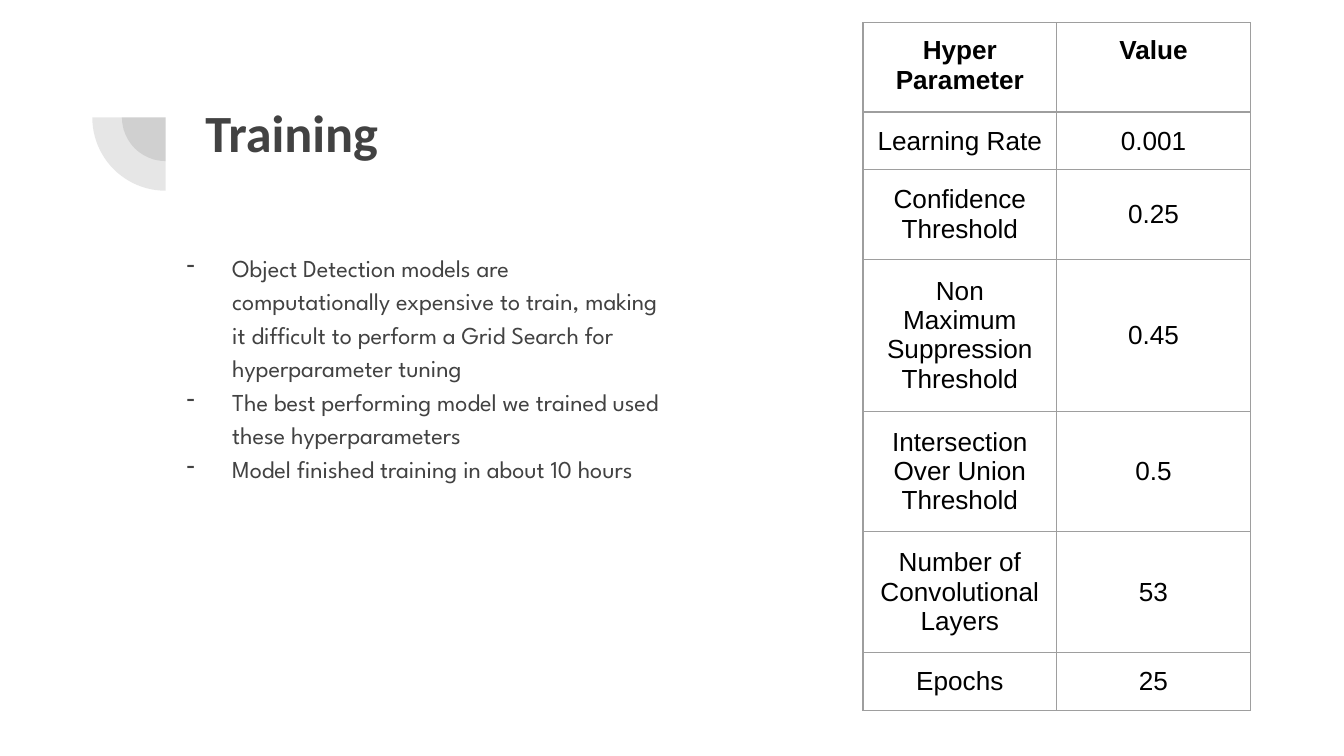
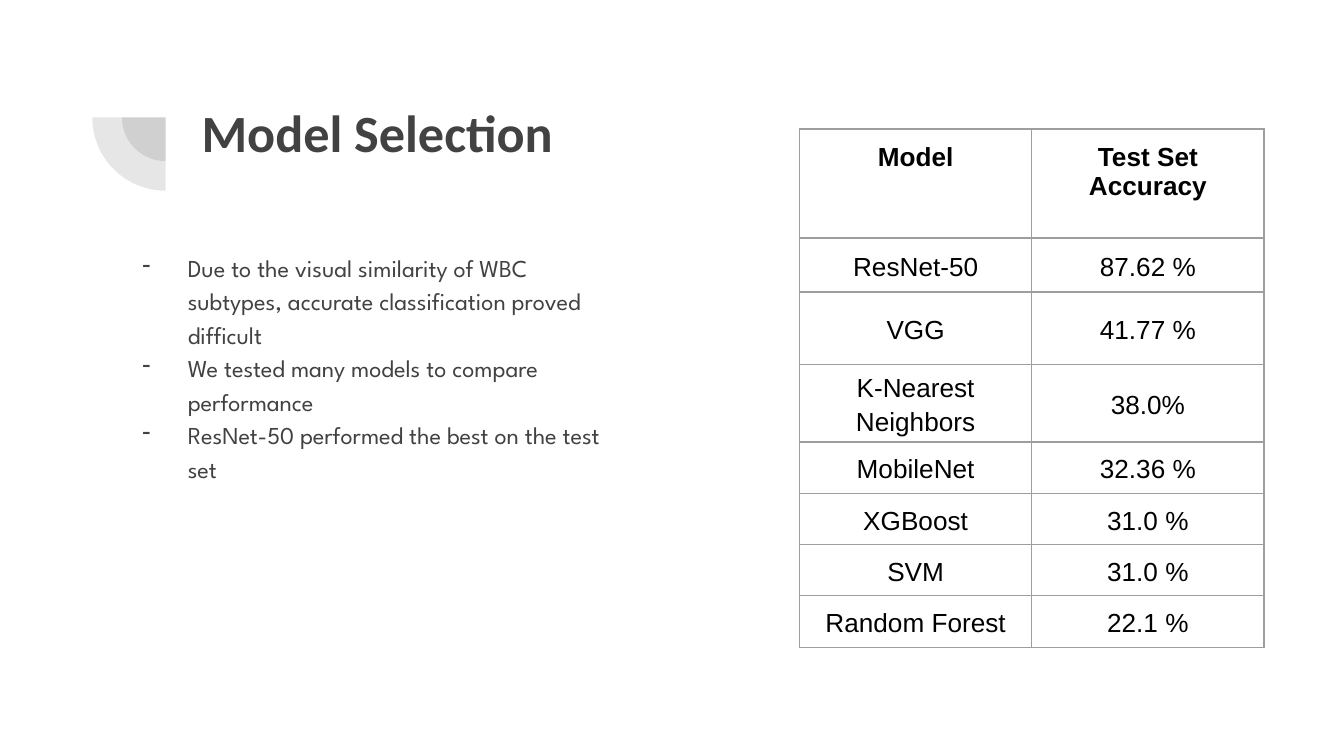
from dataclasses import dataclass

from lxml import etree
from pptx import Presentation
from pptx.dml.color import RGBColor
from pptx.enum.shapes import MSO_SHAPE
from pptx.enum.text import MSO_ANCHOR, PP_ALIGN
from pptx.oxml.ns import qn
from pptx.slide import Slide
from pptx.table import _Cell
from pptx.text.text import TextFrame, _Paragraph
from pptx.util import Cm, Length, Pt

PIE = MSO_SHAPE.PIE
TOP, MIDDLE = MSO_ANCHOR.TOP, MSO_ANCHOR.MIDDLE
LEFT, CENTER = PP_ALIGN.LEFT, PP_ALIGN.CENTER


@dataclass(frozen=True)
class TextStyle:
    font: str
    size: int
    color: str
    bold: bool = False


@dataclass(frozen=True)
class Theme:
    background: str = "FFFFFF"
    ink: str = "424242"
    border: str = "9E9E9E"
    border_width: Length = Pt(0.75)
    pie_alpha: int = 13000
    margin: Length = Cm(0.25)
    line_spacing: float = 1.15
    title: TextStyle = TextStyle("Calibri", 28, "424242", True)
    body: TextStyle = TextStyle("League Spartan", 13, "424242")
    header: TextStyle = TextStyle("Arial", 14, "000000", True)
    cell: TextStyle = TextStyle("Arial", 14, "000000")


@dataclass(frozen=True)
class Box:
    left: Length
    top: Length
    width: Length
    height: Length


@dataclass(frozen=True)
class TableSpec:
    left: Length
    top: Length
    column_width: Length
    row_heights: list[Length]
    rows: list[tuple[str, str]]
    margin_x: Length
    margin_y: Length
    line_spacing: float


@dataclass(frozen=True)
class SlideSpec:
    title: str
    title_left: Length
    bullets: list[str]
    body: Box
    table: TableSpec


THEME = Theme()

SLIDES = [
    SlideSpec(
        "Training",
        Cm(3.63),
        [
            "Object Detection models are computationally expensive to train, "
            "making it difficult to perform a Grid Search for hyperparameter tuning",
            "The best performing model we trained used these hyperparameters",
            "Model finished training in about 10 hours",
        ],
        Box(Cm(2.87), Cm(4.45), Cm(9.83), Cm(7.39)),
        TableSpec(
            Cm(16.31), Cm(0.43), Cm(3.66), [Cm(0.91)] * 7,
            [
                ("Hyper Parameter", "Value"),
                ("Learning Rate", "0.001"),
                ("Confidence Threshold", "0.25"),
                ("Non Maximum Suppression Threshold", "0.45"),
                ("Intersection Over Union Threshold", "0.5"),
                ("Number of Convolutional Layers", "53"),
                ("Epochs", "25"),
            ],
            THEME.margin, THEME.margin, 1.0,
        ),
    ),
    SlideSpec(
        "Model Selection",
        Cm(3.56),
        [
            "Due to the visual similarity of WBC subtypes, "
            "accurate classification proved difficult",
            "We tested many models to compare performance",
            "ResNet-50 performed the best on the test set",
        ],
        Box(Cm(2.03), Cm(4.45), Cm(9.88), Cm(8.33)),
        TableSpec(
            Cm(15.11), Cm(2.44), Cm(4.39),
            [Cm(2.06), Cm(1.02), Cm(1.37), Cm(1.02)] + [Cm(0.97)] * 4,
            [
                ("Model", "Test Set Accuracy"),
                ("ResNet-50", "87.62 %"),
                ("VGG", "41.77 %"),
                ("K-Nearest Neighbors", "38.0%"),
                ("MobileNet", "32.36 %"),
                ("XGBoost", "31.0 %"),
                ("SVM", "31.0 %"),
                ("Random Forest", "22.1 %"),
            ],
            Cm(0.08), Cm(0.05), THEME.line_spacing,
        ),
    ),
]


def format_runs(p: _Paragraph, style: TextStyle) -> None:
    for r in p.runs:
        r.font.name = style.font
        r.font.size = Pt(style.size)
        r.font.bold = style.bold
        r.font.color.rgb = RGBColor.from_string(style.color)


def add_text(s: Slide, box: Box, lines: list[str], style: TextStyle) -> TextFrame:
    tf = s.shapes.add_textbox(box.left, box.top, box.width, box.height).text_frame
    tf.word_wrap = True
    tf.vertical_anchor = TOP
    tf.margin_left = tf.margin_right = THEME.margin
    tf.margin_top = tf.margin_bottom = THEME.margin
    tf.text = "\n".join(lines)
    for p in tf.paragraphs:
        p.alignment = LEFT
        format_runs(p, style)
    return tf


def add_dash(p: _Paragraph) -> None:
    pPr = p._p.get_or_add_pPr()
    pPr.set("marL", str(Cm(1.27)))
    pPr.set("indent", str(-Cm(0.86)))
    color = etree.SubElement(pPr, qn("a:buClr"))
    etree.SubElement(color, qn("a:srgbClr"), val=THEME.ink)
    etree.SubElement(pPr, qn("a:buChar"), char="-")
    p.line_spacing = THEME.line_spacing


def add_quarter_circles(s: Slide) -> None:
    center_x, center_y = Cm(3.13), Cm(2.22)
    group = s.shapes.add_group_shape()
    for diameter in (Cm(1.65), Cm(2.77)):
        sp = group.shapes.add_shape(
            PIE, center_x - diameter // 2, center_y - diameter // 2, diameter, diameter
        )
        sp.adjustments[0], sp.adjustments[1] = 108, 162
        sp.rotation = 270
        sp.shadow.inherit = False
        sp.line.fill.background()
        sp.fill.solid()
        sp.fill.fore_color.rgb = RGBColor.from_string(THEME.ink)
        color = sp._element.spPr.find(qn("a:solidFill")).find(qn("a:srgbClr"))
        etree.SubElement(color, qn("a:alpha"), val=str(THEME.pie_alpha))


def add_borders(cell: _Cell) -> None:
    tcPr = cell._tc.get_or_add_tcPr()
    for side in ("lnL", "lnR", "lnT", "lnB"):
        line = etree.SubElement(tcPr, qn(f"a:{side}"), w=str(THEME.border_width))
        fill = etree.SubElement(line, qn("a:solidFill"))
        etree.SubElement(fill, qn("a:srgbClr"), val=THEME.border)


def fill_cell(cell: _Cell, text: str, is_header: bool, spec: TableSpec) -> None:
    add_borders(cell)
    cell.fill.background()
    cell.vertical_anchor = TOP if is_header else MIDDLE
    cell.margin_left = cell.margin_right = THEME.margin if is_header else spec.margin_x
    cell.margin_top = cell.margin_bottom = THEME.margin if is_header else spec.margin_y
    cell.text_frame.text = text
    p = cell.text_frame.paragraphs[0]
    p.alignment = CENTER
    p.line_spacing = 1.0 if is_header else spec.line_spacing
    format_runs(p, THEME.header if is_header else THEME.cell)


def add_results_table(s: Slide, spec: TableSpec) -> None:
    columns = len(spec.rows[0])
    table = s.shapes.add_table(
        len(spec.rows), columns, spec.left, spec.top,
        spec.column_width * columns, sum(spec.row_heights),
    ).table
    table.first_row = table.horz_banding = False
    for column in table.columns:
        column.width = spec.column_width
    for i, (height, texts) in enumerate(zip(spec.row_heights, spec.rows)):
        table.rows[i].height = height
        for j, text in enumerate(texts):
            fill_cell(table.cell(i, j), text, i == 0, spec)


def add_slide(prs: Presentation, spec: SlideSpec) -> None:
    s = prs.slides.add_slide(prs.slide_layouts[6])
    s.background.fill.solid()
    s.background.fill.fore_color.rgb = RGBColor.from_string(THEME.background)
    add_quarter_circles(s)
    title_box = Box(spec.title_left, Cm(1.65), Cm(19.53), Cm(2.77))
    add_text(s, title_box, [spec.title], THEME.title)
    for p in add_text(s, spec.body, spec.bullets, THEME.body).paragraphs:
        add_dash(p)
    add_results_table(s, spec.table)


def main() -> None:
    prs = Presentation()
    prs.slide_width, prs.slide_height = Cm(25.4), Cm(14.29)
    for spec in SLIDES:
        add_slide(prs, spec)
    prs.save("out.pptx")


if __name__ == "__main__":
    main()
